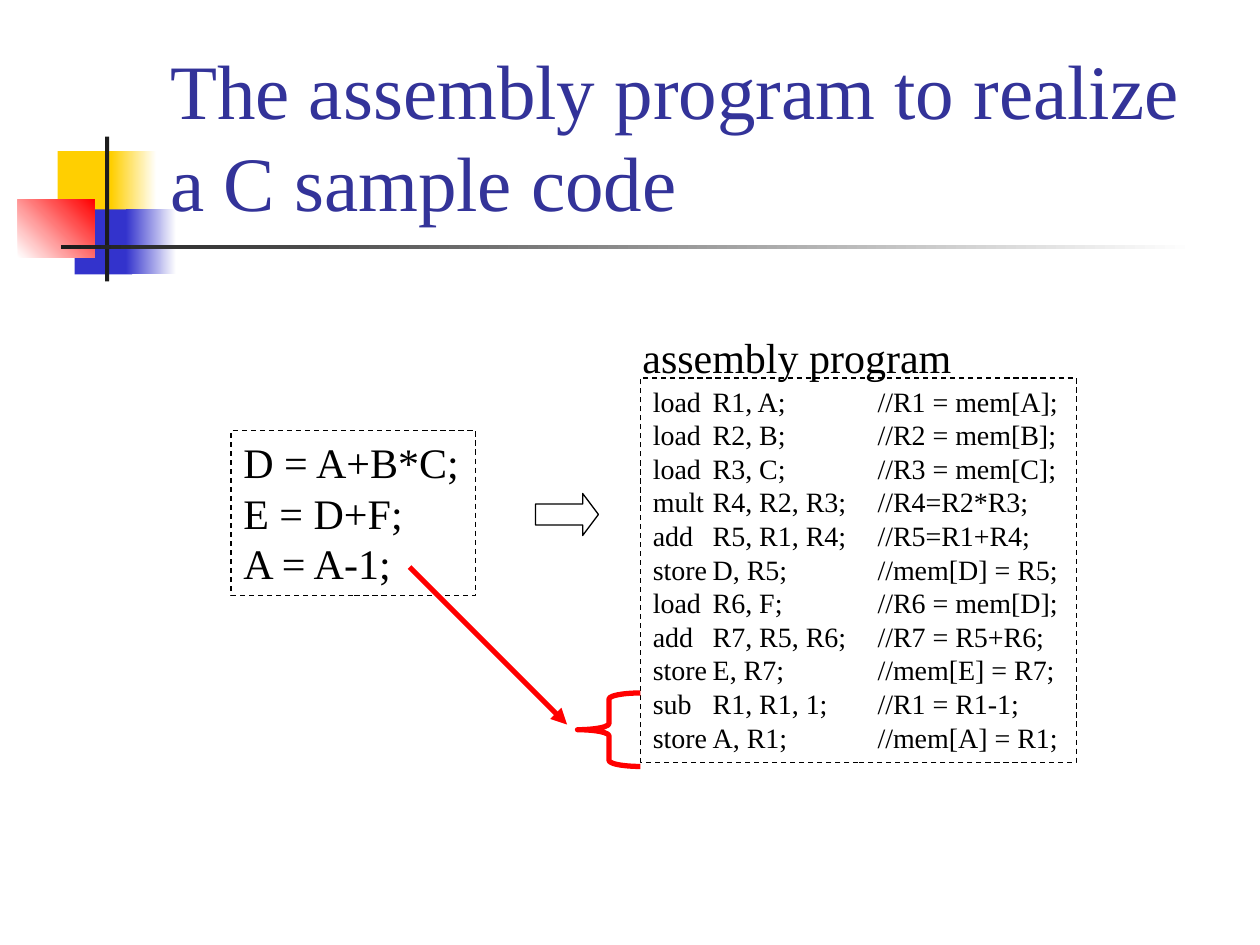
import pptx
import pptx.dml.color
import pptx.enum.dml
import pptx.enum.shapes
import pptx.enum.text
import pptx.oxml
import pptx.oxml.ns
import pptx.util

SHAPES = pptx.enum.shapes.MSO_SHAPE
ANCHOR = pptx.enum.text.MSO_ANCHOR
THEME = {
    "font": "Times New Roman", "title_size": 44, "text_size": 24, "code_size": 16,
    "title": "333399", "text": "000000", "accent": "FF0000", "paper": "FFFFFF",
    "gold": "FFCF01", "blue": "3333CC", "ink": "1C1C1C",
    "thin": 0.75, "thick": 3, "line_spacing": 1.0,
}

presentation = pptx.Presentation()
presentation.slide_width = pptx.util.Inches(10)
presentation.slide_height = pptx.util.Inches(7.5)
slide = presentation.slides.add_slide(presentation.slide_layouts[5])
CELL = presentation.slide_width / 120  # grid of 120 columns by 90 rows


def color(name):
    return pptx.dml.color.RGBColor.from_string(THEME[name])


def write(shape, lines, size, ink, anchor, tab_stops=()):
    """Fill a shape with one paragraph per line; tab stops are in columns."""
    frame = shape.text_frame
    frame.text = "\n".join(lines)
    frame_format = {"word_wrap": True, "vertical_anchor": anchor,
                    "auto_size": pptx.enum.text.MSO_AUTO_SIZE.NONE}
    for name, value in frame_format.items():
        setattr(frame, name, value)
    paragraph_format = {"alignment": pptx.enum.text.PP_ALIGN.LEFT,
                        "line_spacing": THEME["line_spacing"],
                        "space_before": pptx.util.Pt(0), "space_after": pptx.util.Pt(0)}
    font_format = {"name": THEME["font"], "size": pptx.util.Pt(THEME[size])}
    for paragraph in frame.paragraphs:
        for name, value in paragraph_format.items():
            setattr(paragraph, name, value)
        for run in paragraph.runs:
            run.font.color.rgb = color(ink)
            for name, value in font_format.items():
                setattr(run.font, name, value)
        if tab_stops:
            tab_list = pptx.oxml.parse_xml(
                f"<a:tabLst {pptx.oxml.ns.nsdecls('a')}>"
                + "".join(f'<a:tab pos="{round(stop * CELL)}" algn="l"/>' for stop in tab_stops)
                + "</a:tabLst>")
            paragraph._p.get_or_add_pPr().append(tab_list)


# Corner ornament: column, row, width, height, start colour, end colour, angle
ornament = [
    (5.5, 14.4, 5.8, 6.2, "gold", None, 0),
    (10.6, 14.4, 4.3, 6.2, "gold", "paper", 0),
    (7.1, 19.95, 5.5, 6.2, "blue", None, 0),
    (12, 19.95, 4.8, 6.2, "blue", "paper", 0),
    (1.7, 19, 7.3, 5.5, "paper", "accent", 45),
    (10, 13, 0.4, 13.8, "ink", None, 0),
    (5.8, 23.35, 108, 0.4, "ink", "paper", 0),
]
for *box, start, end, angle in ornament:
    block = slide.shapes.add_shape(SHAPES.RECTANGLE, *(round(part * CELL) for part in box))
    block.shadow.inherit = False
    block.line.fill.background()
    if end is None:
        block.fill.solid()
        block.fill.fore_color.rgb = color(start)
    else:
        block.fill.gradient()
        block.fill.gradient_angle = angle
        for stop, name, position in zip(block.fill.gradient_stops, (start, end), (0, 1)):
            stop.color.rgb = color(name)
            stop.position = position

# Title, in front of the ornament
title = slide.shapes.title
title_place = {"left": 15, "top": 3, "width": 102.2, "height": 19.2}
for name, value in title_place.items():
    setattr(title, name, round(value * CELL))
write(title, ["The assembly program to realize a C sample code"],
      "title_size", "title", ANCHOR.BOTTOM)
slide.shapes._spTree.append(title._element)

# Outlined shapes: kind, place, line colour, line width, dashed, adjustments
outlines = {
    "source": (SHAPES.RECTANGLE, (22, 41, 23.3, 15.7), "text", "thin", True, ()),
    "assembly": (SHAPES.RECTANGLE, (61, 36, 41.5, 36.6), "text", "thin", True, ()),
    "becomes": (SHAPES.RIGHT_ARROW, (51, 47, 6, 4), "text", "thin", False, (0.5, 0.375)),
    "brace": (SHAPES.LEFT_BRACE, (55, 66, 6, 7), "accent", "thick", False, (0.097, 0.5)),
}
drawn = {}
for name, (kind, box, ink, width, dashed, adjustments) in outlines.items():
    shape = slide.shapes.add_shape(kind, *(round(part * CELL) for part in box))
    shape.shadow.inherit = False
    shape.fill.background()
    shape.line.color.rgb = color(ink)
    shape.line.width = pptx.util.Pt(THEME[width])
    if dashed:
        shape.line.dash_style = pptx.enum.dml.MSO_LINE.DASH
    for index, value in enumerate(adjustments):
        shape.adjustments[index] = value
    drawn[name] = shape

# C code, assembly code in three tabbed columns, and its heading
write(drawn["source"], ["D = A+B*C;", "E = D+F;", "A = A-1;"],
      "text_size", "text", ANCHOR.TOP)
instructions = [
    ("load", "R1, A;", "//R1 = mem[A];"),
    ("load", "R2, B;", "//R2 = mem[B];"),
    ("load", "R3, C;", "//R3 = mem[C];"),
    ("mult", "R4, R2, R3;", "//R4=R2*R3;"),
    ("add", "R5, R1, R4;", "//R5=R1+R4;"),
    ("store", "D, R5;", "//mem[D] = R5;"),
    ("load", "R6, F;", "//R6 = mem[D];"),
    ("add", "R7, R5, R6;", "//R7 = R5+R6;"),
    ("store", "E, R7;", "//mem[E] = R7;"),
    ("sub", "R1, R1, 1;", "//R1 = R1-1;"),
    ("store", "A, R1;", "//mem[A] = R1;"),
]
write(drawn["assembly"], ["\t".join(parts) for parts in instructions],
      "code_size", "text", ANCHOR.TOP, tab_stops=(5.7, 21.4))
heading = slide.shapes.add_textbox(*(round(part * CELL) for part in (60, 31, 31.8, 6)))
write(heading, ["assembly program"], "text_size", "text", ANCHOR.TOP)

# Red arrow from the last C statement to its instructions
arrow = slide.shapes.add_connector(
    pptx.enum.shapes.MSO_CONNECTOR.STRAIGHT,
    *(round(part * CELL) for part in (39, 54, 54, 69)))
arrow.line.color.rgb = color("accent")
arrow.line.width = pptx.util.Pt(THEME["thick"])
namespace = pptx.oxml.ns.nsdecls("a")
arrow.line._get_or_add_ln().append(
    pptx.oxml.parse_xml(f'<a:tailEnd {namespace} type="triangle"/>'))
arrow._element.spPr.append(pptx.oxml.parse_xml(f"<a:effectLst {namespace}/>"))

presentation.save("out.pptx")
